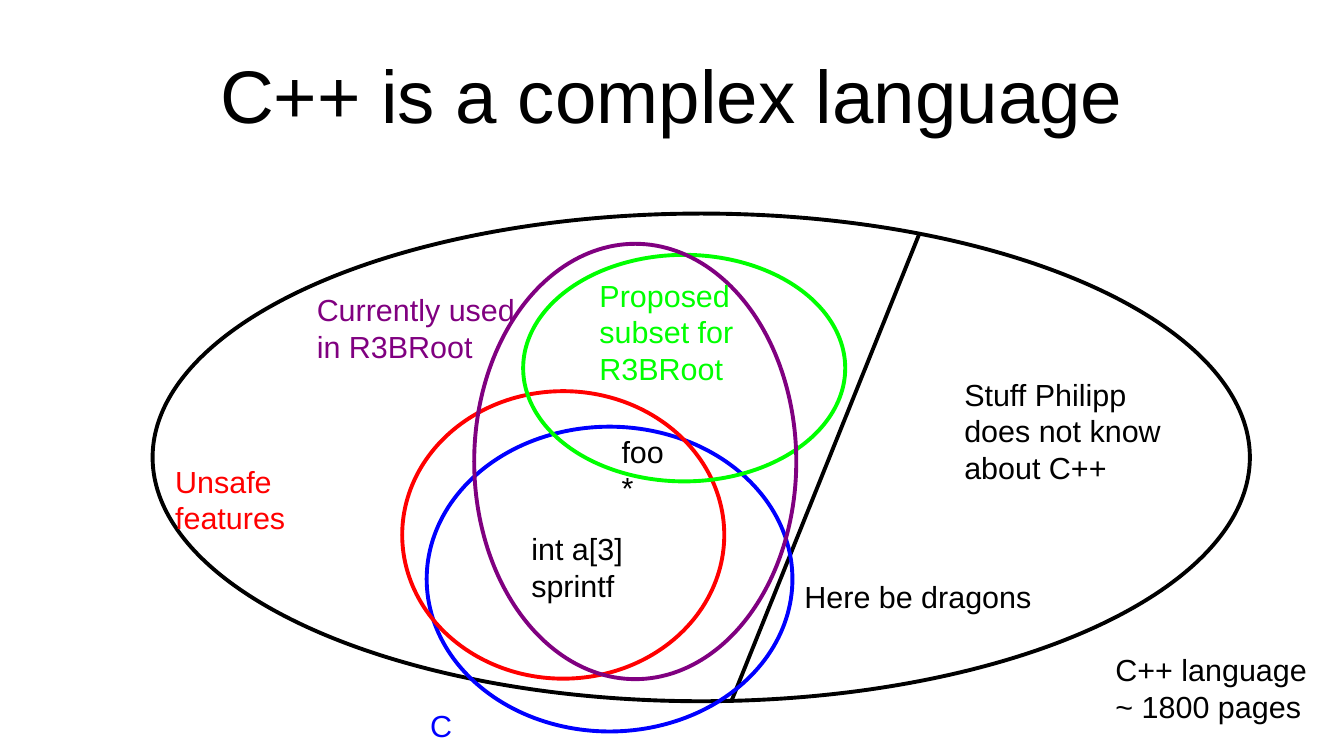
from dataclasses import dataclass

from lxml.etree import SubElement
from pptx import Presentation
from pptx.dml.color import RGBColor
from pptx.enum.shapes import MSO_CONNECTOR, MSO_SHAPE
from pptx.enum.text import MSO_ANCHOR, MSO_AUTO_SIZE, PP_ALIGN
from pptx.oxml.ns import qn
from pptx.util import Cm, Pt


@dataclass(frozen=True)
class Theme:
    black: str = "000000"
    blue: str = "0000FF"
    red: str = "FF0000"
    green: str = "00FF00"
    purple: str = "800080"
    font: str = "Arial"
    head: int = 44
    body: int = 18
    line: float = 2.3


THEME = Theme()


def apply(item, form):
    for name, value in form.items():
        setattr(item, name, value)


def stroke(line, color):
    line.color.rgb = RGBColor.from_string(color)
    line.width = Pt(THEME.line)


def write(frame, lines, size, color, align):
    for i, text in enumerate(lines):
        para = frame.paragraphs[0] if i == 0 else frame.add_paragraph()
        para.alignment = align
        run = para.add_run()
        run.text = text
        apply(run.font, {"name": THEME.font, "size": Pt(size)})
        run.font.color.rgb = RGBColor.from_string(color)


def title(slide, box, text):
    frame = slide.shapes.add_textbox(*map(Cm, box)).text_frame
    apply(frame, {
        "word_wrap": True, "vertical_anchor": MSO_ANCHOR.MIDDLE,
        "margin_left": 0, "margin_right": 0,
        "margin_top": 0, "margin_bottom": 0,
    })
    write(frame, [text], THEME.head, THEME.black, PP_ALIGN.CENTER)


def label(slide, box, lines, color=THEME.black, wrap=False):
    frame = slide.shapes.add_textbox(*map(Cm, box)).text_frame
    apply(frame, {
        "word_wrap": wrap, "auto_size": MSO_AUTO_SIZE.SHAPE_TO_FIT_TEXT,
        "vertical_anchor": MSO_ANCHOR.TOP,
    })
    write(frame, lines, THEME.body, color, PP_ALIGN.LEFT)


def oval(slide, box, color):
    shape = slide.shapes.add_shape(MSO_SHAPE.OVAL, *map(Cm, box))
    shape.shadow.inherit = False
    shape.fill.background()
    stroke(shape.line, color)


def divide(slide, ends, color):
    link = slide.shapes.add_connector(MSO_CONNECTOR.STRAIGHT, *map(Cm, ends))
    stroke(link.line, color)
    SubElement(link._element.spPr, qn("a:effectLst"))


def main():
    deck = Presentation()
    apply(deck, {"slide_width": Cm(28), "slide_height": Cm(15.75)})
    slide = deck.slides.add_slide(deck.slide_layouts[6])

    title(slide, (1.4, 0.63, 25.2, 2.64), "C++ is a complex language")

    oval(slide, (3.18, 4.45, 22.86, 10.16), THEME.black)
    divide(slide, (19.15, 4.88, 15.24, 14.6), THEME.black)
    for box, color in (
        ((8.89, 8.89, 7.62, 6.35), THEME.blue),
        ((8.38, 8.15, 6.71, 5.99), THEME.red),
        ((10.9, 5.31, 6.71, 4.72), THEME.green),
        ((9.88, 5.08, 6.71, 9.07), THEME.purple),
    ):
        oval(slide, box, color)

    label(slide, (22.99, 13.44, 4.5, 1.68), ["C++ language", "~ 1800 pages"])
    label(slide, (10.82, 10.92, 2.41, 1.68), ["int a[3]", "sprintf"])
    label(slide, (16.51, 11.91, 5.23, 0.97), ["Here be dragons"])
    label(slide, (8.71, 14.6, 0.97, 0.97), ["C"], THEME.blue)
    label(slide, (3.4, 9.52, 4.98, 0.97), ["Unsafe features"], THEME.red)
    label(slide, (12.7, 8.89, 1.6, 1.68), ["foo*"], wrap=True)
    label(slide, (19.84, 7.7, 5.28, 2.39),
          ["Stuff Philipp does not know about C++"], wrap=True)
    label(slide, (6.35, 5.94, 4.9, 1.68),
          ["Currently used in R3BRoot"], THEME.purple, wrap=True)
    label(slide, (12.24, 5.64, 4.9, 2.39),
          ["Proposed subset for R3BRoot"], THEME.green, wrap=True)

    deck.save("out.pptx")


if __name__ == "__main__":
    main()
